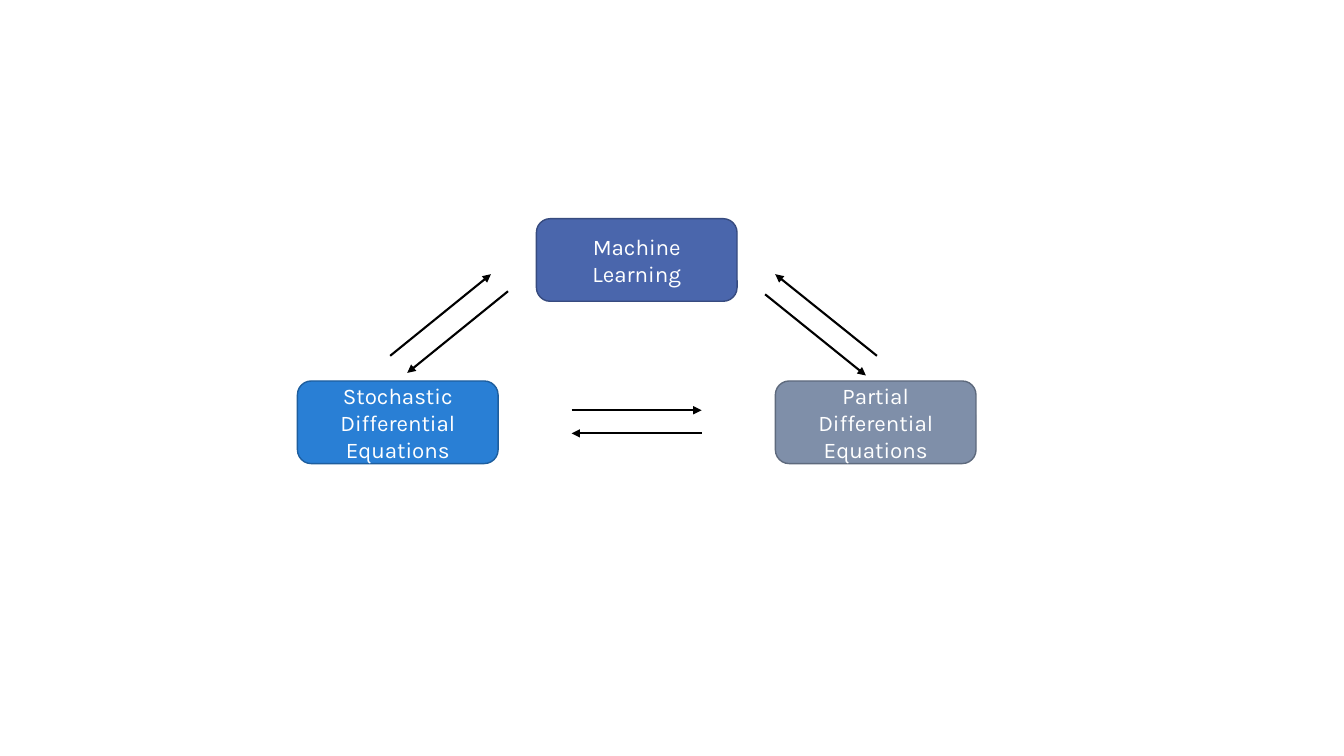
from dataclasses import dataclass
from typing import Any

import pptx
import pptx.dml.color
import pptx.enum.shapes
import pptx.enum.text
import pptx.oxml
import pptx.oxml.ns
import pptx.slide
import pptx.util

RGBColor = pptx.dml.color.RGBColor
WHITE = RGBColor(0xFF, 0xFF, 0xFF)
BLACK = RGBColor(0x00, 0x00, 0x00)
INDIGO = RGBColor(0x4A, 0x66, 0xAC)
INDIGO_EDGE = RGBColor(0x37, 0x4B, 0x7F)
SLATE = RGBColor(0x7F, 0x8F, 0xA9)
SLATE_EDGE = RGBColor(0x5E, 0x6A, 0x7D)
AZURE = RGBColor(0x29, 0x7F, 0xD5)
AZURE_EDGE = RGBColor(0x1E, 0x5E, 0x9E)

SLIDE_WIDTH = pptx.util.Inches(13.33)
SLIDE_HEIGHT = pptx.util.Inches(7.5)

GRID_LEFT, COLUMN_PITCH = 22.13, 17.78
GRID_TOP, ROW_PITCH = 28.93, 21.47
FIELD_WIDTH, FIELD_HEIGHT = 14.93, 10.93

FRAME_FORMAT = {
    "word_wrap": True,
    "vertical_anchor": pptx.enum.text.MSO_ANCHOR.MIDDLE,
}
FONT_FORMAT = {"name": "Karla", "size": pptx.util.Pt(16)}


@dataclass(frozen=True)
class Field:
    name: str
    column: int
    row: int
    fill: RGBColor
    edge: RGBColor


@dataclass(frozen=True)
class Arrow:
    start: tuple[float, float]
    end: tuple[float, float]


FIELDS = [
    Field("Machine Learning", 1, 0, INDIGO, INDIGO_EDGE),
    Field("Partial Differential Equations", 2, 1, SLATE, SLATE_EDGE),
    Field("Stochastic Differential Equations", 0, 1, AZURE, AZURE_EDGE),
]

ARROWS = [
    Arrow((29.03, 47.07), (36.53, 36.27)),
    Arrow((37.8, 38.53), (30.3, 49.33)),
    Arrow((65.25, 47.07), (57.68, 36.27)),
    Arrow((56.93, 38.93), (64.43, 49.67)),
    Arrow((42.53, 54.27), (52.2, 54.27)),
    Arrow((52.2, 57.33), (42.53, 57.33)),
]


def across(percent: float) -> int:
    return round(SLIDE_WIDTH * percent / 100)


def down(percent: float) -> int:
    return round(SLIDE_HEIGHT * percent / 100)


def apply_format(target: Any, values: dict[str, Any]) -> None:
    for name, value in values.items():
        setattr(target, name, value)


def draw_field(page: pptx.slide.Slide, field: Field) -> None:
    box = page.shapes.add_shape(
        pptx.enum.shapes.MSO_SHAPE.ROUNDED_RECTANGLE,
        across(GRID_LEFT + field.column * COLUMN_PITCH),
        down(GRID_TOP + field.row * ROW_PITCH),
        across(FIELD_WIDTH),
        down(FIELD_HEIGHT),
    )
    box.shadow.inherit = False
    box.fill.solid()
    box.fill.fore_color.rgb = field.fill
    box.line.color.rgb = field.edge
    box.line.width = pptx.util.Pt(1)
    apply_format(box.text_frame, FRAME_FORMAT)
    para = box.text_frame.paragraphs[0]
    para.alignment = pptx.enum.text.PP_ALIGN.CENTER
    span = para.add_run()
    span.text = field.name
    apply_format(span.font, FONT_FORMAT)
    span.font.color.rgb = WHITE


def draw_arrow(page: pptx.slide.Slide, arrow: Arrow) -> None:
    connector = page.shapes.add_connector(
        pptx.enum.shapes.MSO_CONNECTOR.STRAIGHT,
        across(arrow.start[0]),
        down(arrow.start[1]),
        across(arrow.end[0]),
        down(arrow.end[1]),
    )
    connector.line.color.rgb = BLACK
    connector.line.width = pptx.util.Pt(1.5)
    tail = pptx.oxml.parse_xml(
        f'<a:tailEnd {pptx.oxml.ns.nsdecls("a")} type="triangle"/>'
    )
    connector.line._get_or_add_ln().append(tail)
    effects = pptx.oxml.parse_xml(f'<a:effectLst {pptx.oxml.ns.nsdecls("a")}/>')
    connector._element.spPr.append(effects)


def main() -> None:
    deck = pptx.Presentation()
    apply_format(deck, {"slide_width": SLIDE_WIDTH, "slide_height": SLIDE_HEIGHT})
    page = deck.slides.add_slide(deck.slide_layouts[6])
    for field in FIELDS:
        draw_field(page, field)
    for arrow in ARROWS:
        draw_arrow(page, arrow)
    deck.save("out.pptx")


if __name__ == "__main__":
    main()
